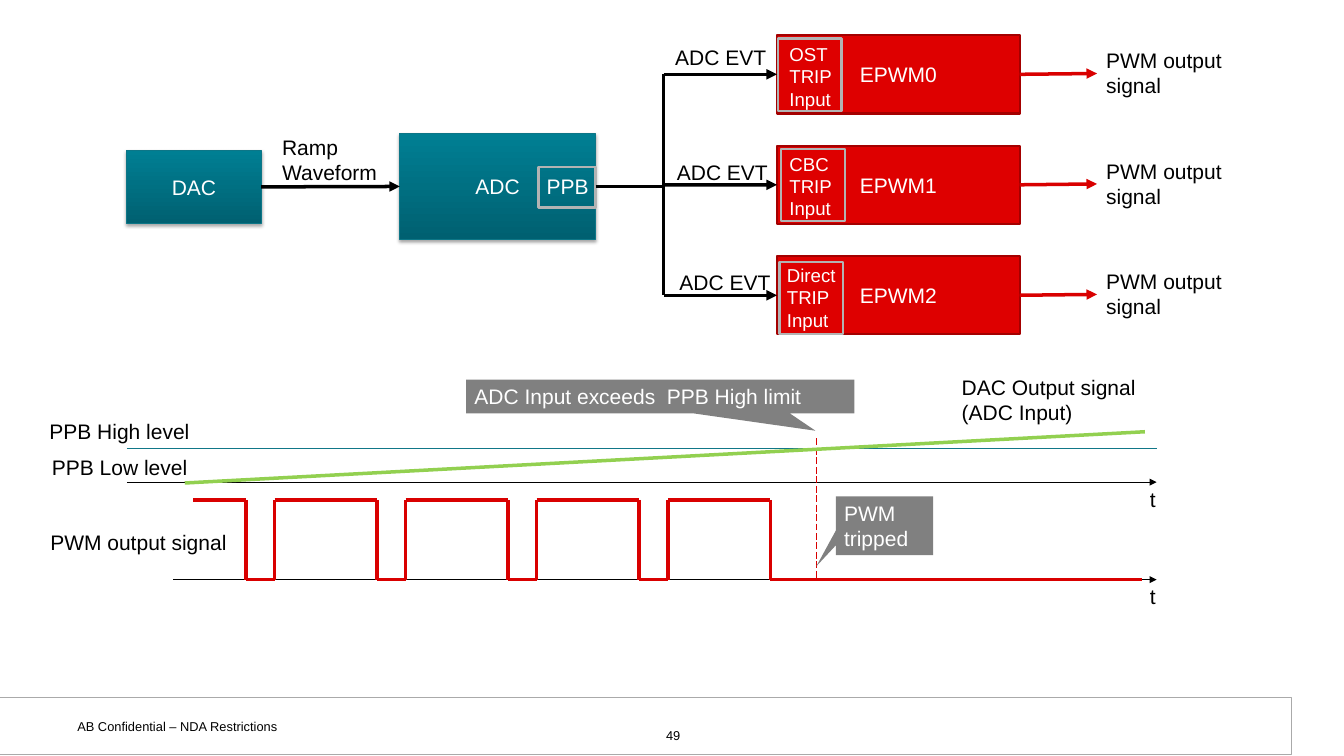
from dataclasses import dataclass
from typing import NamedTuple, Optional

from lxml import etree
from pptx import Presentation
from pptx import util as u
from pptx.dml.color import RGBColor
from pptx.enum import dml, shapes, text
from pptx.oxml import ns

COLUMN = ROW = u.Inches(1)
COLUMNS, ROWS = 16, 9
BLACK, WHITE, GRAY, FRAME = "000000", "FFFFFF", "808080", "B3B3B3"
RED, BRICK, MAROON = "D90000", "DE0000", "A40000"
TEAL, GREEN = "117788", "92D050"
LEFT_SIDE, RIGHT_SIDE = 1, 3


class Area(NamedTuple):
    column: float
    row: float
    columns: float
    rows: float


class Point(NamedTuple):
    column: float
    row: float


@dataclass
class Channel:
    name: str
    trip: str
    trip_at: Point
    frame_at: Point
    event_at: Point


@dataclass
class Label:
    words: str
    area: Area


@dataclass
class Callout:
    words: str
    area: Area
    tip: tuple[float, float]


CHANNELS = [
    Channel("EPWM0", "OST TRIP Input", Point(9.3, 0.04), Point(9.26, 0.04), Point(7.94, 0.06)),
    Channel("EPWM1", "CBC TRIP Input", Point(9.3, 0.03), Point(9.3, 0.04), Point(7.96, 0.12)),
    Channel("EPWM2", "Direct TRIP Input", Point(9.27, 0.04), Point(9.28, 0.07), Point(7.99, 0.11)),
]
LABELS = [
    Label("PWM output signal", Area(0.5, 6.25, 2.45, 0.4)),
    Label("DAC Output signal\n(ADC Input)", Area(11.35, 4.41, 2.45, 0.7)),
    Label("PPB High level", Area(0.49, 4.93, 2.97, 0.4)),
    Label("PPB Low level", Area(0.52, 5.36, 2.97, 0.4)),
    Label("t", Area(13.59, 5.74, 0.34, 0.4)),
    Label("t", Area(13.59, 6.9, 0.34, 0.4)),
    Label("Ramp Waveform", Area(3.26, 1.55, 1.52, 0.7)),
]
CALLOUTS = [
    Callout("ADC Input exceeds  PPB High limit", Area(5.55, 4.52, 4.62, 0.4), (0.4, 1.02)),
    Callout("PWM tripped", Area(9.95, 5.91, 1.16, 0.7), (-0.7, 0.69)),
]


def paint(color: str) -> RGBColor:
    return RGBColor.from_string(color)


def place(area: Area) -> tuple[int, int, int, int]:
    return (int(area.column * COLUMN), int(area.row * ROW),
            int(area.columns * COLUMN), int(area.rows * ROW))


def write(box, words: str, *, size: float = 18, color: str = BLACK,
          align=text.PP_ALIGN.LEFT, anchor=text.MSO_ANCHOR.TOP,
          inset: tuple[float, float] = (0.1, 0.05)) -> None:
    frame = box.text_frame
    frame.word_wrap = True
    frame.vertical_anchor = anchor
    frame.margin_left = frame.margin_right = u.Inches(inset[0])
    frame.margin_top = frame.margin_bottom = u.Inches(inset[1])
    for index, line in enumerate(words.split("\n")):
        para = frame.add_paragraph() if index else frame.paragraphs[0]
        para.alignment = align
        span = para.add_run()
        span.text = line
        span.font.name = "Arial"
        span.font.size = u.Pt(size)
        span.font.color.rgb = paint(color)


def add_label(page, words: str, area: Area, **style) -> None:
    write(page.shapes.add_textbox(*place(area)), words, **style)


def add_box(page, area: Area, *, fill: Optional[str] = None, line: Optional[str] = None,
            weight: float = 2, kind=shapes.MSO_SHAPE.RECTANGLE):
    box = page.shapes.add_shape(kind, *place(area))
    box.shadow.inherit = False
    if fill:
        box.fill.solid()
        box.fill.fore_color.rgb = paint(fill)
    else:
        box.fill.background()
    if line:
        box.line.color.rgb = paint(line)
        box.line.width = u.Pt(weight)
    else:
        box.line.fill.background()
    return box


def add_block(page, words: str, area: Area, **style):
    block = add_box(page, area, **style)
    write(block, words, color=WHITE, align=text.PP_ALIGN.CENTER, anchor=text.MSO_ANCHOR.MIDDLE)
    return block


def add_converter(page, words: str, area: Area):
    block = add_block(page, words, area, line="0D7687", weight=0.75)
    block.fill.gradient()
    block.fill.gradient_angle = 90
    for stop, color in zip(block.fill.gradient_stops, ("006071", "007F93")):
        stop.color.rgb = paint(color)
    effects = block._element.spPr.find(ns.qn("a:effectLst"))
    shadow = etree.SubElement(effects, ns.qn("a:outerShdw"), blurRad=str(u.Pt(3.1)),
                              dist=str(u.Pt(1.8)), dir="5400000", rotWithShape="0")
    tint = etree.SubElement(shadow, ns.qn("a:srgbClr"), val=BLACK)
    etree.SubElement(tint, ns.qn("a:alpha"), val="35000")
    return block


def add_line(page, start: Point, end: Point, *, color: str = BLACK, weight: float = 3,
             arrow: bool = False, dashed: bool = False, source=None, target=None) -> None:
    line = page.shapes.add_connector(
        shapes.MSO_CONNECTOR.STRAIGHT, int(start.column * COLUMN), int(start.row * ROW),
        int(end.column * COLUMN), int(end.row * ROW))
    if source is not None:
        line.begin_connect(source, RIGHT_SIDE)
    if target is not None:
        line.end_connect(target, LEFT_SIDE)
    line.line.color.rgb = paint(color)
    line.line.width = u.Pt(weight)
    if dashed:
        line.line.dash_style = dml.MSO_LINE.LONG_DASH
    properties = line._element.spPr
    if arrow:
        etree.SubElement(properties.find(ns.qn("a:ln")), ns.qn("a:tailEnd"), type="triangle")
    etree.SubElement(properties, ns.qn("a:effectLst"))


def draw_footer(page) -> None:
    add_box(page, Area(-0.03, 8.3, 15.4, 0.68), fill=WHITE, line="AAAAAA", weight=0.75)
    inset = (0.13, 0.07)
    add_label(page, "AB Confidential – NDA Restrictions", Area(0.79, 8.48, 3.69, 0.31),
              size=11, inset=inset)
    add_label(page, "49", Area(6.15, 8.59, 3.73, 0.27), size=11, inset=inset,
              align=text.PP_ALIGN.CENTER)


def draw_timing(page) -> None:
    high, low, first_fall, first_rise, period, cycles = 5.95, 6.9, 2.93, 3.27, 1.56, 4
    for start, row in ((1.51, 5.74), (2.06, low)):
        add_line(page, Point(start, row), Point(13.77, row), weight=0.75, arrow=True)
    add_line(page, Point(9.72, 5.22), Point(9.72, 6.92), color=RED, weight=0.75, dashed=True)
    add_line(page, Point(1.51, 5.34), Point(13.77, 5.34), color=TEAL, weight=1.5)
    add_line(page, Point(2.2, 5.75), Point(13.63, 5.14), color=GREEN)
    wave = [Point(2.3, high)]
    for cycle in range(cycles + 1):
        fall, rise = first_fall + cycle * period, first_rise + cycle * period
        wave += [Point(fall, high), Point(fall, low)]
        wave += [Point(rise, low), Point(rise, high)] if cycle < cycles else [Point(13.59, low)]
    for start, end in zip(wave, wave[1:]):
        add_line(page, start, end, color=RED)
    for callout in CALLOUTS:
        box = add_box(page, callout.area, fill=GRAY,
                      kind=shapes.MSO_SHAPE.RECTANGULAR_CALLOUT)
        box.adjustments[0], box.adjustments[1] = callout.tip
        write(box, callout.words, color=WHITE)


def draw_circuit(page) -> None:
    bus, middle, top, pitch, height = 7.9, 2.22, 0.42, 1.315, 0.93
    dac = add_converter(page, "DAC", Area(1.51, 1.79, 1.6, 0.87))
    adc = add_converter(page, "ADC", Area(4.76, 1.59, 2.33, 1.26))
    add_line(page, Point(3.11, middle), Point(4.76, middle), arrow=True, source=dac, target=adc)
    add_label(page, "PPB", Area(6.41, 2.02, 0.9, 0.4), color=WHITE)
    add_box(page, Area(6.41, 1.99, 0.68, 0.48), line=FRAME)
    add_line(page, Point(7.09, middle), Point(bus, middle), source=adc)
    first = top + height / 2
    add_line(page, Point(bus, first), Point(bus, first + 2 * pitch), weight=2.25)
    for index, channel in enumerate(CHANNELS):
        row = top + index * pitch
        center = row + height / 2
        block = add_block(page, channel.name, Area(9.25, row, 2.89, height),
                          fill=BRICK, line=MAROON)
        add_label(page, channel.trip, Area(channel.trip_at.column, row + channel.trip_at.row,
                                           0.8, 0.89), size=16, color=WHITE)
        add_box(page, Area(channel.frame_at.column, row + channel.frame_at.row, 0.76, 0.86),
                line=FRAME)
        add_line(page, Point(bus, center), Point(9.25, center), arrow=True, target=block)
        add_label(page, "ADC EVT", Area(channel.event_at.column, row + channel.event_at.row,
                                        1.4, 0.4))
        add_line(page, Point(12.14, center), Point(13.06, center - 0.01), color=RED,
                 arrow=True, source=block)
        add_label(page, "PWM output signal", Area(13.07, row + 0.1, 1.71, 0.7))


def main() -> None:
    deck = Presentation()
    deck.slide_width, deck.slide_height = COLUMNS * COLUMN, ROWS * ROW
    page = deck.slides.add_slide(deck.slide_layouts[6])
    draw_footer(page)
    draw_timing(page)
    draw_circuit(page)
    for label in LABELS:
        add_label(page, label.words, label.area)
    deck.save("out.pptx")


if __name__ == "__main__":
    main()
